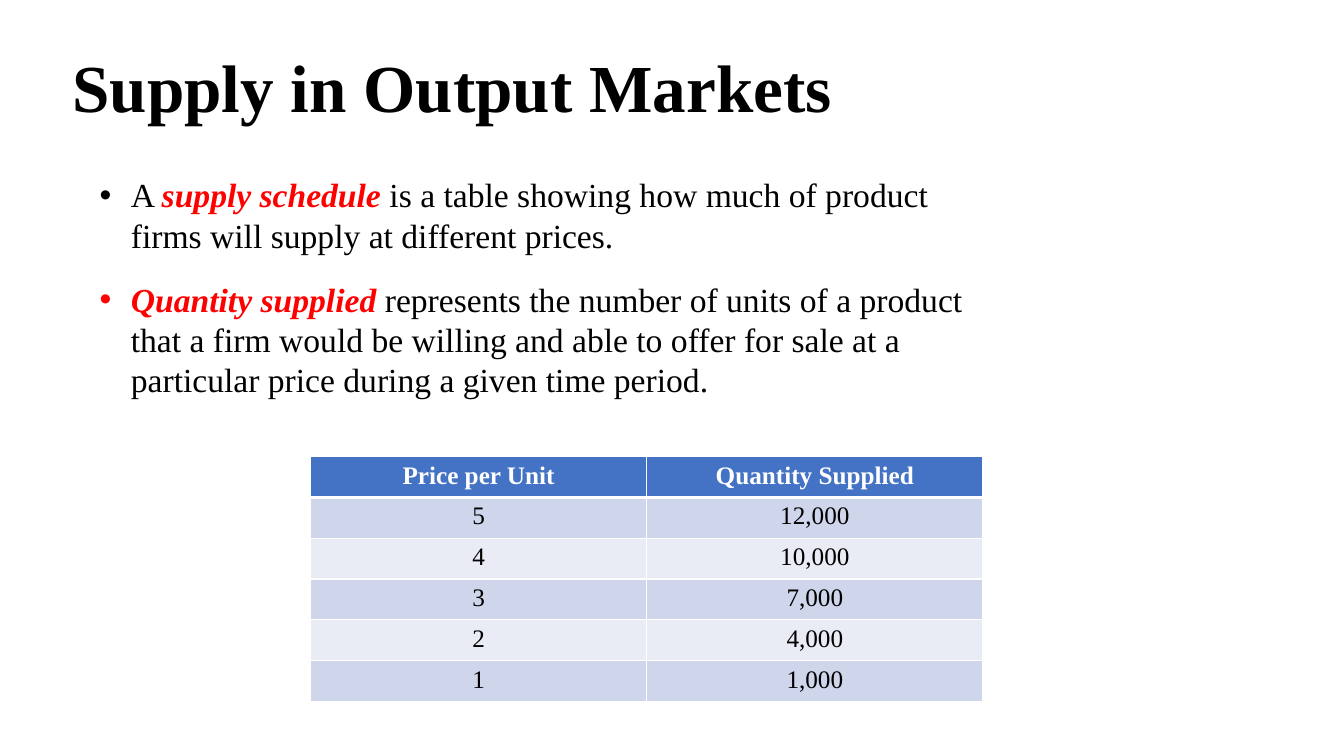
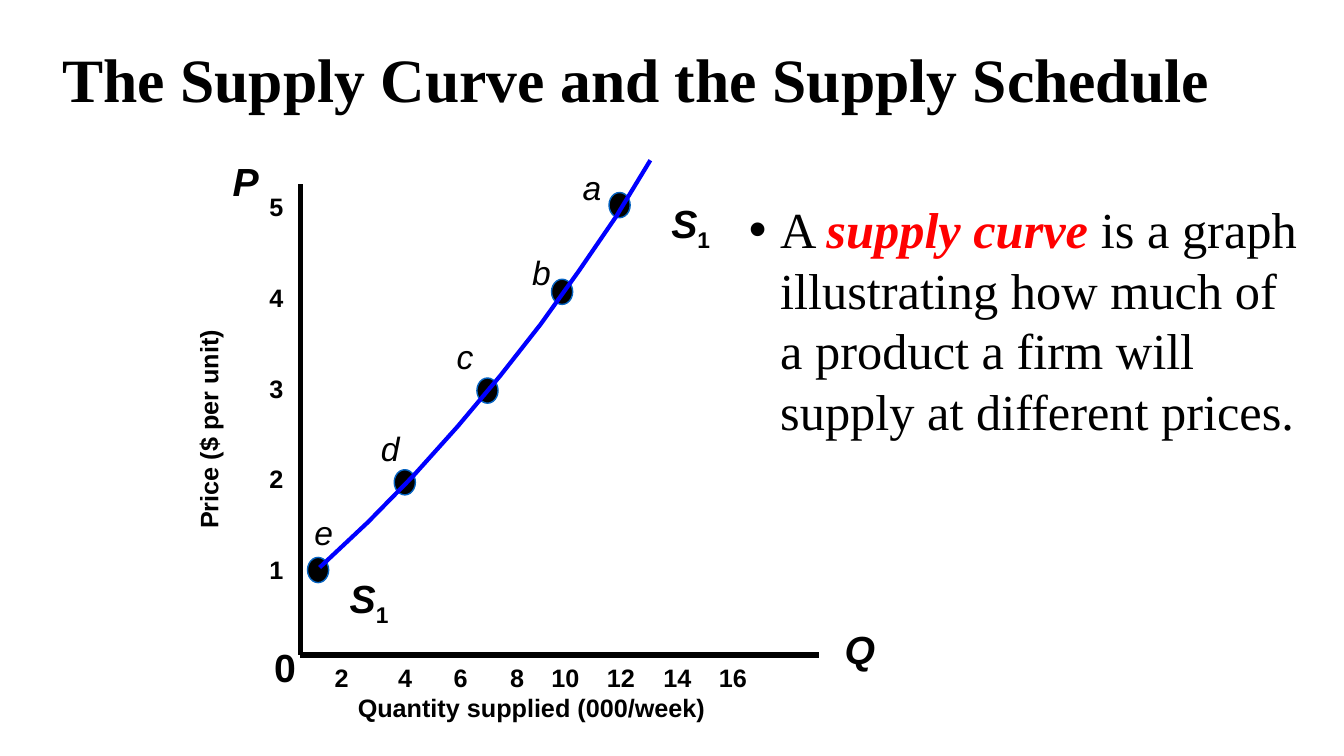
from lxml import etree
from pptx import Presentation
from pptx.dml.color import RGBColor
from pptx.enum.shapes import MSO_CONNECTOR as CONNECTOR, MSO_SHAPE as SHAPE
from pptx.enum.text import MSO_ANCHOR as ANCHOR, MSO_AUTO_SIZE as FIT, PP_ALIGN as ALIGN
from pptx.oxml.ns import qn
from pptx.util import Inches, Pt

BLACK = RGBColor(0x00, 0x00, 0x00)
WHITE = RGBColor(0xFF, 0xFF, 0xFF)
RED = RGBColor(0xFF, 0x00, 0x00)
CURVE_BLUE = RGBColor(0x00, 0x00, 0xFF)
DOT_EDGE = RGBColor(0x05, 0x63, 0xC1)
HEADER_BLUE = RGBColor(0x44, 0x72, 0xC4)
BAND_DARK = RGBColor(0xCF, 0xD5, 0xEA)
BAND_LIGHT = RGBColor(0xE9, 0xEB, 0xF5)
SERIF, SANS = "Times New Roman", "Arial"
TERM = dict(color=RED, bold=True, italic=True)
AXIS_TEXT = dict(font=SANS, bold=True, wrap=False)


def child(parent, tag, **attributes):
    element = etree.SubElement(parent, qn(tag))
    for key, value in attributes.items():
        element.set(key, str(value))
    return element


def write(paragraph, text, font=SERIF, size=18, color=BLACK, bold=False,
          italic=False, baseline=None, align=None):
    """Add one formatted run to a paragraph."""
    if align is not None:
        paragraph.alignment = align
    run = paragraph.add_run()
    run.text = text
    run.font.name, run.font.size = font, Pt(size)
    run.font.bold, run.font.italic = bold, italic
    run.font.color.rgb = color
    if baseline is not None:
        run._r.get_or_add_rPr().set("baseline", str(baseline * 1000))


class Deck:
    def __init__(self):
        self.prs = Presentation()
        self.prs.slide_width, self.prs.slide_height = Inches(13.33), Inches(7.5)
        self.slide = None

    def new_slide(self):
        self.slide = self.prs.slides.add_slide(self.prs.slide_layouts[6])

    def frame(self, left, top, width, height, wrap=True, anchor=ANCHOR.TOP,
              rotation=0, grow=True):
        box = self.slide.shapes.add_textbox(
            Inches(left), Inches(top), Inches(width), Inches(height))
        box.rotation = rotation
        frame = box.text_frame
        frame.word_wrap = wrap
        frame.auto_size = FIT.SHAPE_TO_FIT_TEXT if grow else FIT.NONE
        frame.vertical_anchor = anchor
        return frame

    def label(self, text, left, top, width, height, wrap=True,
              anchor=ANCHOR.TOP, rotation=0, **style):
        frame = self.frame(left, top, width, height, wrap, anchor, rotation)
        write(frame.paragraphs[0], text, **style)
        return frame.paragraphs[0]

    def title(self, text, left, top, width, size):
        frame = self.frame(left, top, width, 1.45, anchor=ANCHOR.MIDDLE, grow=False)
        frame.paragraphs[0].line_spacing = 0.9
        write(frame.paragraphs[0], text, size=size, bold=True)

    def bullets(self, items, left, top, width, height, size):
        """Each item is a list of (text, style) pairs."""
        frame = self.frame(left, top, width, height)
        for index, pieces in enumerate(items):
            paragraph = frame.add_paragraph() if index else frame.paragraphs[0]
            properties = paragraph._p.get_or_add_pPr()
            properties.set("marL", str(Inches(0.31)))
            properties.set("indent", str(-Inches(0.31)))
            child(properties, "a:buFont", typeface=SANS)
            child(properties, "a:buChar", char="•")
            paragraph.line_spacing = Pt(size * 1.2)
            if index:
                paragraph.space_before = Pt(size * 0.7)
            for text, style in pieces:
                write(paragraph, text, size=size, **style)

    def table(self, rows, left, top, width, height):
        table = self.slide.shapes.add_table(
            len(rows), len(rows[0]), Inches(left), Inches(top),
            Inches(width), Inches(height)).table
        for r, values in enumerate(rows):
            fill = HEADER_BLUE if r == 0 else BAND_DARK if r % 2 else BAND_LIGHT
            borders = {"a:lnL": 1, "a:lnR": 1, "a:lnT": 3 if r == 1 else 1,
                       "a:lnB": 3 if r == 0 else 1}
            for c, value in enumerate(values):
                cell = table.cell(r, c)
                properties = cell._tc.get_or_add_tcPr()
                for tag, points in borders.items():
                    line = child(properties, tag, w=Pt(points))
                    child(child(line, "a:solidFill"), "a:srgbClr", val=WHITE)
                cell.fill.solid()
                cell.fill.fore_color.rgb = fill
                write(cell.text_frame.paragraphs[0], value, align=ALIGN.CENTER,
                      bold=r == 0, color=BLACK if r else WHITE)

    def dot(self, left, top):
        dot = self.slide.shapes.add_shape(
            SHAPE.OVAL, Inches(left), Inches(top), Inches(0.21), Inches(0.25))
        dot.shadow.inherit = False
        dot.fill.solid()
        dot.fill.fore_color.rgb = BLACK
        dot.line.color.rgb, dot.line.width = DOT_EDGE, Pt(1)

    def axis(self, x1, y1, x2, y2):
        axis = self.slide.shapes.add_connector(
            CONNECTOR.STRAIGHT, Inches(x1), Inches(y1), Inches(x2), Inches(y2))
        axis.line.color.rgb, axis.line.width = BLACK, Pt(4)
        child(axis._element.spPr, "a:effectLst")

    def curve(self, points):
        start, *rest = [(Inches(x), Inches(y)) for x, y in points]
        builder = self.slide.shapes.build_freeform(*start)
        builder.add_line_segments(rest, close=False)
        curve = builder.convert_to_shape()
        curve.shadow.inherit = False
        curve.fill.background()
        curve.line.color.rgb, curve.line.width = CURVE_BLUE, Pt(3)


def schedule_slide(deck):
    deck.new_slide()
    deck.title("Supply in Output Markets", 0.62, 0.18, 11.5, 48)
    deck.bullets([
        [("A ", {}), ("supply schedule ", TERM),
         ("is a table showing how much of product firms will supply at "
          "different prices.", {})],
        [("Quantity supplied ", TERM),
         ("represents the number of units of a product that a firm would be "
          "willing and able to offer for sale at a particular price during a "
          "given time period.", {})],
    ], 0.89, 1.68, 9, 3.09, 24)
    deck.table([
        ("Price per Unit", "Quantity Supplied"),
        ("5", "12,000"), ("4", "10,000"), ("3", "7,000"),
        ("2", "4,000"), ("1", "1,000"),
    ], 3.08, 4.53, 6.67, 2.43)


def curve_slide(deck):
    deck.new_slide()
    deck.title("The Supply Curve and the Supply Schedule", 0.52, 0.09, 12.95, 44)
    deck.bullets([
        [("A ", {}), ("supply curve ", TERM),
         ("is a graph illustrating how much of a product a firm will supply "
          "at different prices.", {})],
    ], 7.33, 1.92, 5.78, 2.52, 36)

    # Axis names and origin
    for name, left, top, width, italic in (
            ("P", 2.21, 1.51, 0.46, True), ("Q", 8.28, 6.15, 0.5, True),
            ("0", 2.62, 6.33, 0.42, False)):
        deck.label(name, left, top, width, 0.57, size=28, italic=italic, **AXIS_TEXT)

    # Quantity scale, one centred tab stop per number
    quantities = deck.frame(3.15, 6.52, 4.94, 0.4).paragraphs[0]
    stops = child(quantities._p.get_or_add_pPr(), "a:tabLst")
    for position in (0.14, 0.77, 1.32, 1.88, 2.36, 2.91, 3.47, 4.02):
        child(stops, "a:tab", pos=Inches(position), algn="ctr")
    write(quantities, "".join(f"\t{n}" for n in range(2, 17, 2)), font=SANS, bold=True)
    deck.label("Quantity supplied (000/week)", 3.45, 6.82, 3.68, 0.4,
               anchor=ANCHOR.MIDDLE, **AXIS_TEXT)

    # Points: dot position, then label position
    for name, dot, label in (
            ("a", (6.04, 1.91), (5.68, 1.61)), ("b", (5.47, 2.77), (5.18, 2.45)),
            ("c", (4.73, 3.75), (4.43, 3.28)), ("d", (3.91, 4.66), (3.68, 4.2)),
            ("e", (3.05, 5.53), (3.02, 5.03))):
        deck.dot(*dot)
        deck.label(name, *label, 0.39, 0.5, wrap=False, font=SANS, size=24, italic=True)

    # Supply curve and its end labels
    deck.curve([(3.17, 5.63), (3.65, 5.18), (4.1, 4.72), (4.54, 4.23), (4.96, 3.73),
                (5.36, 3.22), (5.74, 2.69), (6.11, 2.15), (6.45, 1.59)])
    for left, top in ((6.56, 1.93), (3.37, 5.65)):
        curve_name = deck.label("S", left, top, 0.6, 0.56, size=28, italic=True, **AXIS_TEXT)
        write(curve_name, "1", font=SANS, size=28, bold=True, baseline=-25)

    # Axes and price scale
    deck.axis(2.98, 1.83, 2.98, 6.5)
    deck.axis(2.98, 6.5, 8.12, 6.5)
    prices = deck.frame(2.57, 1.85, 0.34, 4.04, wrap=False)
    for price in range(5, 0, -1):
        paragraph = prices.paragraphs[0] if price == 5 else prices.add_paragraph()
        paragraph.line_spacing = Pt(21.6)
        if price < 5:
            paragraph.space_before = Pt(43.2)
        write(paragraph, str(price), font=SANS, bold=True, align=ALIGN.RIGHT)
    deck.label("Price ($ per unit)", 0.97, 4.05, 2.19, 0.4, anchor=ANCHOR.MIDDLE,
               rotation=270, **AXIS_TEXT)


def main():
    deck = Deck()
    schedule_slide(deck)
    curve_slide(deck)
    deck.prs.save("out.pptx")


if __name__ == "__main__":
    main()
